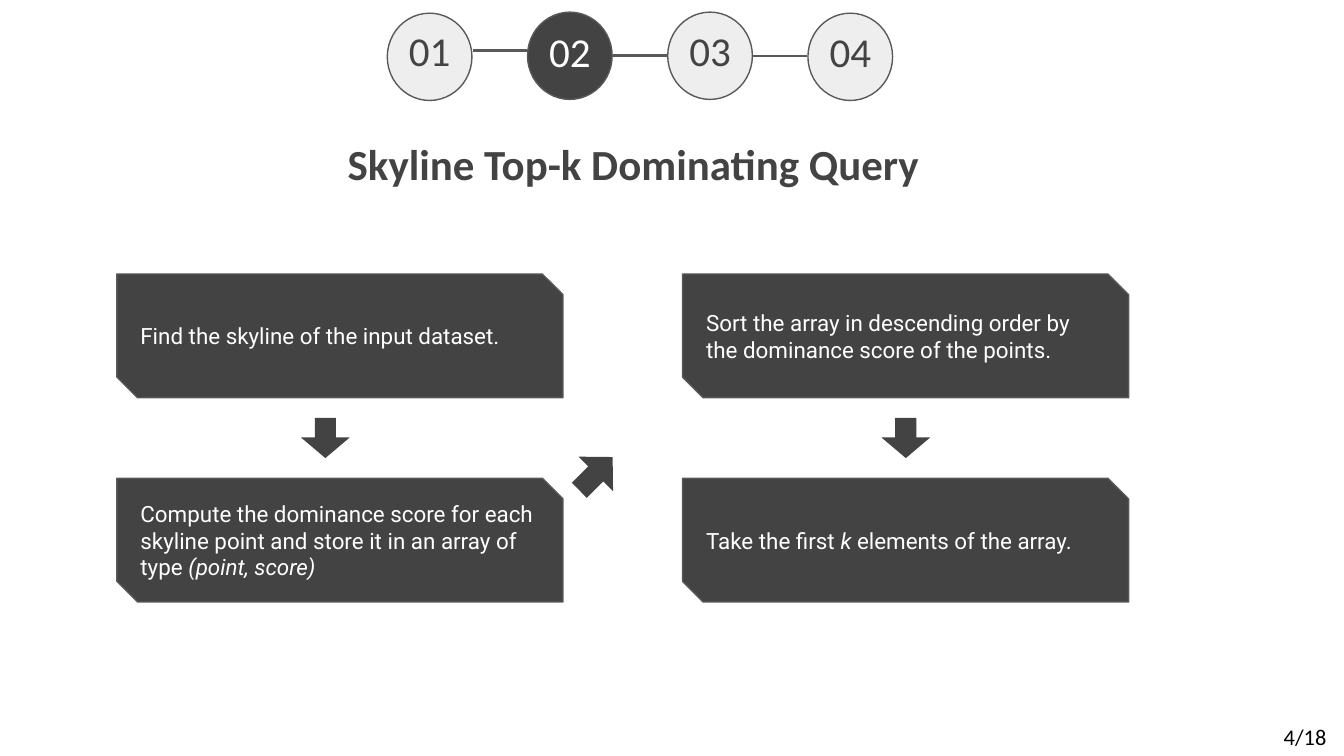
from math import cos, radians, sin

from lxml.etree import SubElement
from pptx import Presentation
from pptx.dml.color import RGBColor
from pptx.enum.shapes import MSO_CONNECTOR, MSO_SHAPE
from pptx.enum.text import MSO_ANCHOR, PP_ALIGN
from pptx.oxml.ns import qn
from pptx.util import Cm, Pt

DARK, LIGHT, OUTLINE = "434343", "EEEEEE", "595959"
WHITE, BLACK = "FFFFFF", "000000"


def rgb(hex_color):
    return RGBColor.from_string(hex_color)


def write_text(holder, runs, *, size, color, font="Calibri", bold=False,
               align=PP_ALIGN.CENTER, anchor=MSO_ANCHOR.TOP):
    """Fill a shape with one paragraph; runs are (text, italic) pairs."""
    frame = holder.text_frame
    frame.word_wrap = True
    frame.vertical_anchor = anchor
    frame.margin_left = frame.margin_right = Cm(0.25)
    frame.margin_top = frame.margin_bottom = Cm(0.25)
    paragraph = frame.paragraphs[0]
    paragraph.alignment = align
    for text, italic in runs:
        run = paragraph.add_run()
        run.text = text
        run.font.name = font
        run.font.size = Pt(size)
        run.font.bold = bold
        run.font.italic = italic
        run.font.color.rgb = rgb(color)


def add_label(shapes, box, text, **text_format):
    label = shapes.add_textbox(*map(Cm, box))
    write_text(label, [(text, False)], **text_format)


def add_panel(shapes, preset, box, fill):
    panel = shapes.add_shape(preset, *map(Cm, box))
    panel.shadow.inherit = False
    panel.fill.solid()
    panel.fill.fore_color.rgb = rgb(fill)
    panel.line.color.rgb = rgb(OUTLINE)
    panel.line.width = Pt(0.75)
    return panel


def add_link(shapes, left, top, length):
    link = shapes.add_connector(MSO_CONNECTOR.STRAIGHT, Cm(left), Cm(top),
                                Cm(left + length), Cm(top))
    link.line.color.rgb = rgb(OUTLINE)
    link.line.width = Pt(1.5)
    SubElement(link._element.spPr, qn("a:effectLst"))


def add_arrow(shapes, tip, angle, length, head):
    """Block arrow ending at tip; angle is clockwise from pointing right."""
    shaft_half, head_half = 0.2, 0.46
    outline = [(0, 0), (-head, head_half), (-head, shaft_half),
               (-length, shaft_half), (-length, -shaft_half),
               (-head, -shaft_half), (-head, -head_half)]
    turn_x, turn_y = cos(radians(angle)), sin(radians(angle))
    points = [(Cm(tip[0] + x * turn_x - y * turn_y),
               Cm(tip[1] + x * turn_y + y * turn_x)) for x, y in outline]
    builder = shapes.build_freeform(*points[0])
    builder.add_line_segments(points[1:], close=True)
    arrow = builder.convert_to_shape()
    arrow.shadow.inherit = False
    arrow.fill.solid()
    arrow.fill.fore_color.rgb = rgb(DARK)
    arrow.line.fill.background()


def add_progress(shapes, current):
    """Numbered circles joined by short links."""
    first_left, pitch, width, height = 7.32, 2.65, 1.6, 1.65
    circle_tops = [0.25, 0.23, 0.23, 0.25]
    label_tops = [0.23, 0.25, 0.23, 0.25]
    link_tops = [0.96, 1.05, 1.06]
    for index, (circle_top, label_top) in enumerate(zip(circle_tops, label_tops)):
        left = first_left + index * pitch
        active = index + 1 == current
        add_panel(shapes, MSO_SHAPE.OVAL, (left, circle_top, width, height),
                  DARK if active else LIGHT)
        add_label(shapes, (left, label_top, width, height), f"{index + 1:02}",
                  size=22, color=WHITE if active else DARK)
        if index < len(link_tops):
            add_link(shapes, left + width + 0.02, link_tops[index], 1.02)


def add_steps(shapes):
    """Two columns of steps, read down and then across."""
    columns = [
        (2.21, [[("Find the skyline of the input dataset.", False)],
                [("Compute the dominance score for each skyline point and "
                  "store it in an array of type ", False),
                 ("(point, score)", True)]]),
        (12.9, [[("Sort the array in descending order by the dominance "
                  "score of the points.", False)],
                [("Take the first ", False), ("k ", True),
                 ("elements of the array.", False)]]),
    ]
    for left, steps in columns:
        for row, runs in enumerate(steps):
            step = add_panel(shapes, MSO_SHAPE.SNIP_2_DIAG_RECTANGLE,
                             (left, 5.18 + row * 3.86, 8.43, 2.34), DARK)
            write_text(step, runs, size=12, color=WHITE, font="Roboto",
                       align=PP_ALIGN.LEFT, anchor=MSO_ANCHOR.MIDDLE)


def main():
    deck = Presentation()
    deck.slide_width, deck.slide_height = Cm(25.4), Cm(14.29)
    slide = deck.slides.add_slide(deck.slide_layouts[6])
    shapes = slide.shapes

    # Page number, progress and title
    add_label(shapes, (23.93, 13.56, 1.47, 0.74), "4/18",
              size=12, color=BLACK, anchor=MSO_ANCHOR.MIDDLE)
    add_progress(shapes.add_group_shape().shapes, current=2)
    add_label(shapes, (5.11, 2.36, 13.74, 1.55),
              "Skyline Top-k Dominating Query", size=23, color=DARK, bold=True)

    # Steps and the arrows between them
    add_steps(shapes)
    for tip_left in (6.15, 17.12):
        add_arrow(shapes, (tip_left, 8.66), 90, length=0.76, head=0.39)
    add_arrow(shapes, (11.58, 8.64), -45, length=0.89, head=0.45)

    deck.save("out.pptx")


if __name__ == "__main__":
    main()
